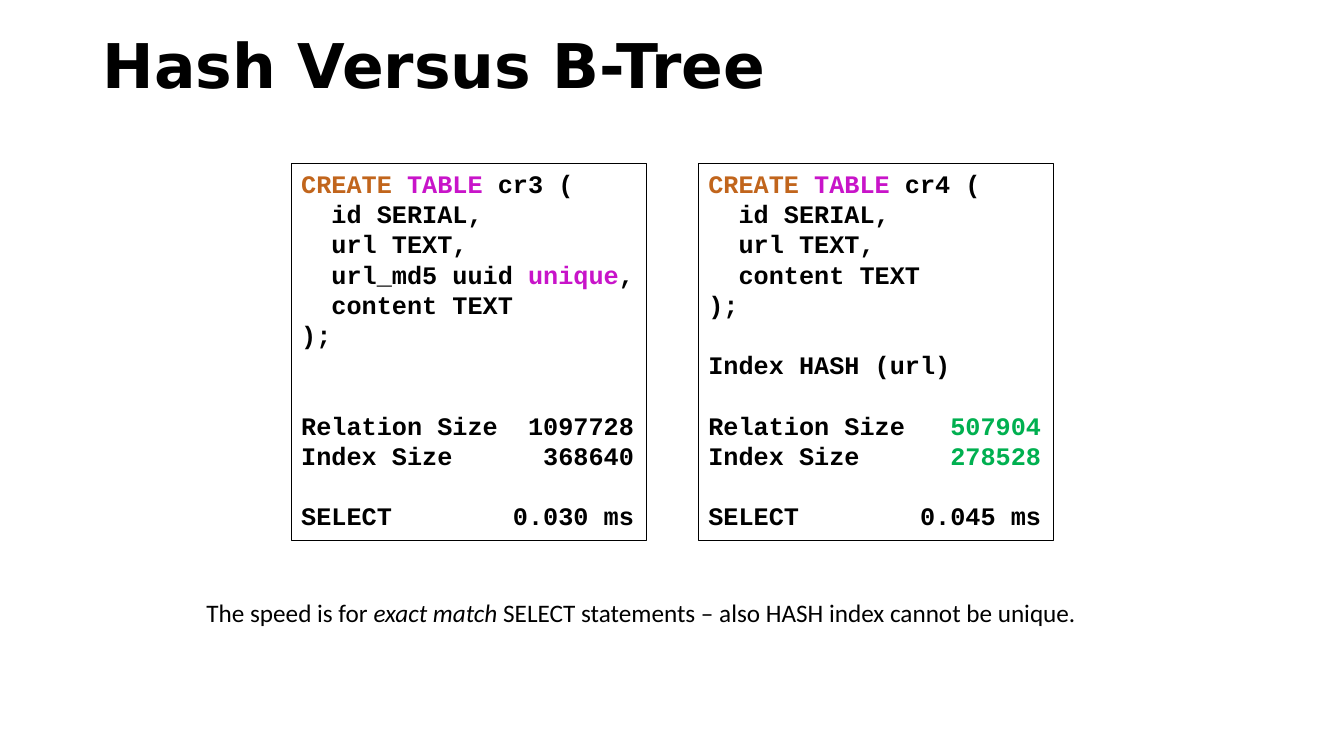
from dataclasses import dataclass

from lxml import etree
from pptx import Presentation
from pptx.dml.color import RGBColor
from pptx.enum.shapes import MSO_SHAPE
from pptx.enum.text import MSO_ANCHOR, MSO_AUTO_SIZE, PP_ALIGN
from pptx.oxml.ns import qn
from pptx.util import Pt

RECT = MSO_SHAPE.RECTANGLE
LEFT = PP_ALIGN.LEFT
TOP, MIDDLE = MSO_ANCHOR.TOP, MSO_ANCHOR.MIDDLE
FIXED = MSO_AUTO_SIZE.NONE


@dataclass(frozen=True)
class Theme:
    ink: str = "000000"
    verb: str = "C1651C"
    key: str = "C814C9"
    best: str = "00B050"
    head: str = "DejaVu Sans"
    code: str = "Courier New"
    body: str = "Calibri"
    big: int = 44
    text: int = 18


THEME = Theme()
ROW = 21.6      # height of one code line
TAB = 237.6     # right edge of the figures

# Each line: blank rows above it, then its runs as (text, colour)
INK, VERB, KEY, BEST = THEME.ink, THEME.verb, THEME.key, THEME.best


def create(name):
    return 0, [("CREATE ", VERB), ("TABLE", KEY), (f" {name} (", INK)]


def plain(text, gap=0):
    return gap, [(text, INK)]


def stats(gap, size, index, time, tint):
    return [
        (gap, [("Relation Size\t", INK), (size, tint)]),
        (0, [("Index Size\t", INK), (index, tint)]),
        (1, [("SELECT\t", INK), (time, INK)]),
    ]


BTREE = [
    create("cr3"),
    plain("  id SERIAL,"),
    plain("  url TEXT,"),
    (0, [("  url_md5 uuid ", INK), ("unique", KEY), (",", INK)]),
    plain("  content TEXT"),
    plain(");"),
    *stats(2, "1097728", "368640", "0.030 ms", INK),
]
HASH = [
    create("cr4"),
    plain("  id SERIAL,"),
    plain("  url TEXT,"),
    plain("  content TEXT"),
    plain(");"),
    plain("Index HASH (url)", 1),
    *stats(1, "507904", "278528", "0.045 ms", BEST),
]


def add_run(para, text, face, size, color=INK, bold=False, slant=False):
    run = para.add_run()
    run.text = text
    font = run.font
    font.name, font.size = face, Pt(size)
    font.bold, font.italic = bold, slant
    font.color.rgb = RGBColor.from_string(color)


def set_frame(frame, anchor, wrap=True):
    frame.auto_size = FIXED
    frame.word_wrap = wrap
    frame.vertical_anchor = anchor


def add_tab(para, pos):
    tabs = etree.SubElement(para._p.get_or_add_pPr(), qn("a:tabLst"))
    etree.SubElement(tabs, qn("a:tab"), pos=str(Pt(pos)), algn="r")


def add_title(slide, text):
    title = slide.shapes.title
    title.left, title.top = Pt(66.2), Pt(19.4)
    title.width, title.height = Pt(828), Pt(59)
    set_frame(title.text_frame, MIDDLE)
    para = title.text_frame.paragraphs[0]
    para.alignment, para.line_spacing = LEFT, 0.9
    add_run(para, text, THEME.head, THEME.big, bold=True)


def add_code(slide, left, lines):
    box = slide.shapes.add_shape(RECT, Pt(left), Pt(116.6), Pt(253.4), Pt(269.3))
    box.shadow.inherit = False
    box.fill.background()
    box.line.color.rgb = RGBColor.from_string(INK)
    box.line.width = Pt(0.75)
    frame = box.text_frame
    set_frame(frame, TOP)
    for num, (gap, runs) in enumerate(lines):
        para = frame.add_paragraph() if num else frame.paragraphs[0]
        para.alignment = LEFT
        if gap:
            para.space_before = Pt(gap * ROW)
        if any("\t" in text for text, _ in runs):
            add_tab(para, TAB)
        for text, color in runs:
            add_run(para, text, THEME.code, THEME.text, color, bold=True)


def add_note(slide, runs):
    note = slide.shapes.add_textbox(Pt(140.4), Pt(423.4), Pt(643), Pt(28.8))
    set_frame(note.text_frame, TOP)
    para = note.text_frame.paragraphs[0]
    for text, slant in runs:
        add_run(para, text, THEME.body, THEME.text, slant=slant)


def main():
    deck = Presentation()
    deck.slide_width, deck.slide_height = Pt(960), Pt(540)
    slide = deck.slides.add_slide(deck.slide_layouts[5])

    add_title(slide, "Hash Versus B-Tree")

    # The two tables side by side
    for col, lines in enumerate((BTREE, HASH)):
        add_code(slide, 208.1 + col * 290.8, lines)

    # Remark below
    add_note(slide, [
        ("The speed is for ", False),
        ("exact match ", True),
        ("SELECT statements – also HASH index cannot be unique.", False),
    ])
    deck.save("out.pptx")


if __name__ == "__main__":
    main()
